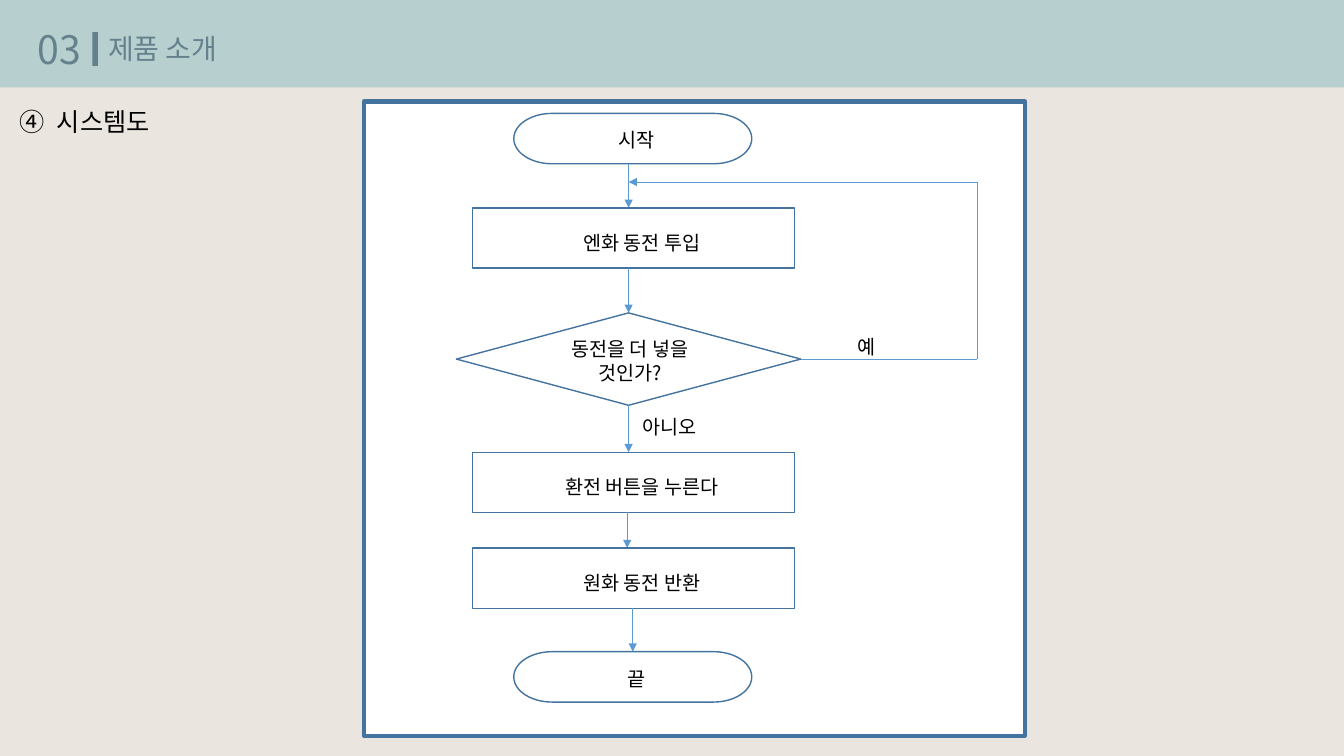
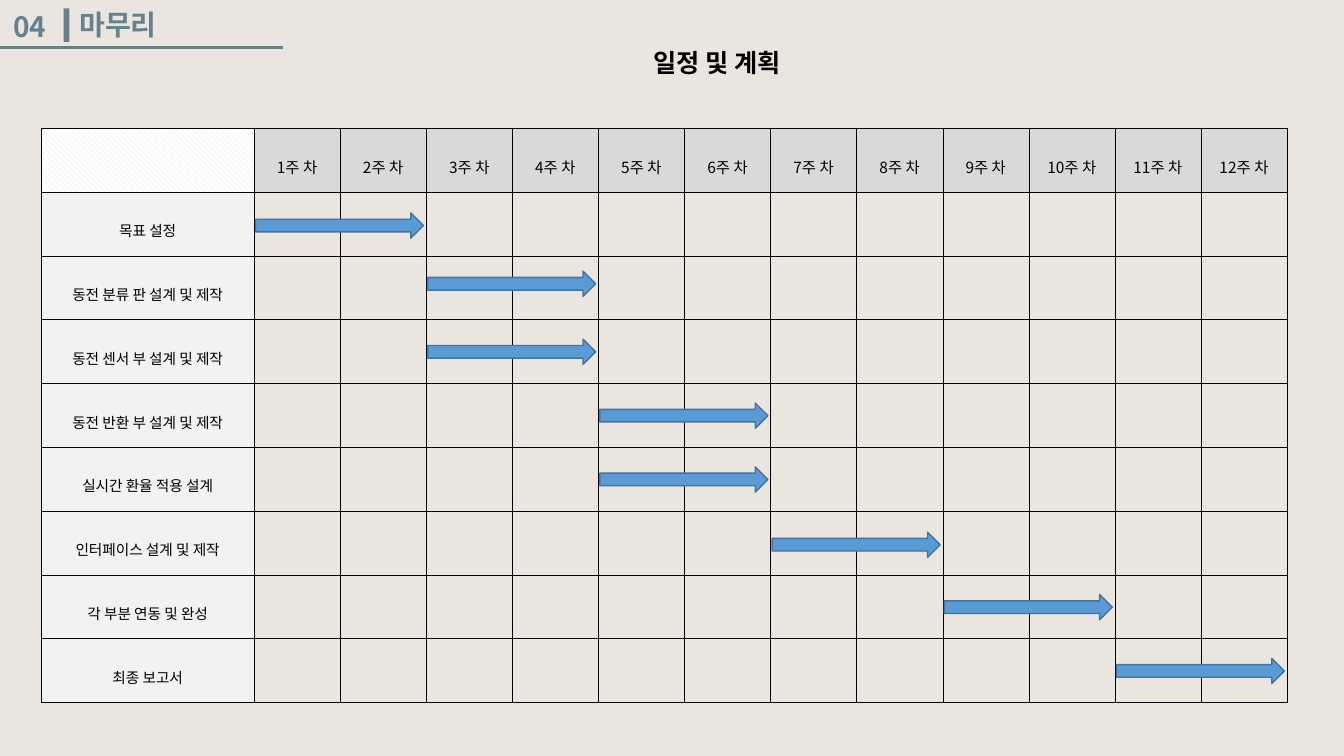
from lxml import etree
from pptx import Presentation
from pptx.dml.color import RGBColor
from pptx.enum import dml, shapes, text
from pptx.oxml import ns
from pptx.util import Pt

FONT = "Noto Sans CJK KR"
INK, SLATE, WHITE = "000000", "64818D", "FFFFFF"
PAPER, BAND = "EAE6DF", "B7CFCE"
BLUE, EDGE = "5B9BD5", "43739E"
HEADER, LABEL = "D9D9D9", "F2F2F2"
MSO = shapes.MSO_SHAPE
CENTER, LEFT = text.PP_ALIGN.CENTER, text.PP_ALIGN.LEFT
MIDDLE, TOP = text.MSO_ANCHOR.MIDDLE, text.MSO_ANCHOR.TOP

STEPS = [
    (MSO.FLOWCHART_TERMINATOR, ["시작"], 192, 8.5, 170, 36, 189),
    (MSO.FLOWCHART_PROCESS, ["엔화 동전 투입"], 192.5, 76, 230, 43, 189),
    (MSO.FLOWCHART_DECISION, ["동전을 더 넣을", "것인가?"], 189, 151, 246, 66, 189),
    (MSO.FLOWCHART_PROCESS, ["환전 버튼을 누른다"], 192.5, 250.5, 230, 43, 188),
    (MSO.FLOWCHART_PROCESS, ["원화 동전 반환"], 192.5, 319, 230, 43, 192),
    (MSO.FLOWCHART_TERMINATOR, ["끝"], 192, 393, 170, 36, None),
]
NUDGE = {
    MSO.FLOWCHART_TERMINATOR: (3, 1),
    MSO.FLOWCHART_PROCESS: (6, 3),
    MSO.FLOWCHART_DECISION: (1, 1),
}
LOOP = [(312, 184), (438, 184), (438, 57.5), (189, 57.5)]
TASKS = [
    ("목표 설정", 1, 15),
    ("동전 분류 판 설계 및 제작", 3, 11),
    ("동전 센서 부 설계 및 제작", 3, 14),
    ("동전 반환 부 설계 및 제작", 5, 14),
    ("실시간 환율 적용 설계", 5, 14),
    ("인터페이스 설계 및 제작", 7, 15),
    ("각 부분 연동 및 완성", 9, 14),
    ("최종 보고서", 11, 14),
]
WEEKS = 12


def rgb(color):
    """Turn a hex string into a colour."""
    return RGBColor.from_string(color)


def place(sp, x, y, w, h):
    """Move and size a shape in points."""
    sp.left, sp.top, sp.width, sp.height = Pt(x), Pt(y), Pt(w), Pt(h)


def write(tf, lines, size, color=INK, bold=False, align=LEFT, anchor=TOP):
    """Fill a text frame with one run per line."""
    tf.word_wrap = True
    tf.auto_size = text.MSO_AUTO_SIZE.NONE
    tf.vertical_anchor = anchor
    for i, line in enumerate(lines):
        p = tf.add_paragraph() if i else tf.paragraphs[0]
        p.alignment = align
        p.space_before = Pt(0)
        r = p.add_run()
        r.text = line
        r.font.size, r.font.bold, r.font.name = Pt(size), bold, FONT
        r.font.color.rgb = rgb(color)
        etree.SubElement(r._r.get_or_add_rPr(), ns.qn("a:ea"), typeface=FONT)


def label(s, x, y, w, h, line, size, **style):
    """Add a text box."""
    sp = s.shapes.add_textbox(Pt(x), Pt(y), Pt(w), Pt(h))
    write(sp.text_frame, [line], size, **style)


def shape(s, kind, x, y, w, h, fill=None, line=None, weight=1):
    """Add a flat preset shape."""
    sp = s.shapes.add_shape(kind, Pt(x), Pt(y), Pt(w), Pt(h))
    sp.shadow.inherit = False
    if fill:
        sp.fill.solid()
        sp.fill.fore_color.rgb = rgb(fill)
    else:
        sp.fill.background()
    if line:
        sp.line.color.rgb = rgb(line)
        sp.line.width = Pt(weight)
    else:
        sp.line.fill.background()
    return sp


def connect(s, x1, y1, x2, y2, color=BLUE, weight=0.5, arrow=False):
    """Add a straight connector, with an arrowhead if wanted."""
    c = s.shapes.add_connector(
        shapes.MSO_CONNECTOR.STRAIGHT, Pt(x1), Pt(y1), Pt(x2), Pt(y2))
    c.line.color.rgb = rgb(color)
    c.line.width = Pt(weight)
    if arrow:
        etree.SubElement(c.get_or_add_ln(), ns.qn("a:tailEnd"), type="triangle")
    etree.SubElement(c.element.spPr, ns.qn("a:effectLst"))


def heading(s, x, y, number, title, size, gap, bold=False):
    """Set the number, bar and title, with the bar's corner at x, y."""
    middle, h = y + 12, size * 1.45
    style = dict(color=SLATE, bold=bold)
    label(s, x - gap, middle - h / 2, 53, h, number, size, **style)
    shape(s, MSO.RECTANGLE, x, y, 4, 24, SLATE)
    place(s.shapes.title, x + 4, middle - 16, 250, 32)
    write(s.shapes.title.text_frame, [title], 20, **style)


def numbered(sp, x, y, w, h, line, start):
    """Format the body placeholder as a circled-number list."""
    place(sp, x, y, w, h)
    p = sp.text_frame.paragraphs[0]
    pPr = p._p.get_or_add_pPr()
    pPr.set("marL", str(Pt(27)))
    pPr.set("indent", str(Pt(-27)))
    etree.SubElement(pPr, ns.qn("a:buAutoNum"), type="circleNumDbPlain", startAt=str(start))
    write(sp.text_frame, [line], 18)


def flowchart(s, x, y, w, h):
    """Draw the flowchart in a framed panel."""
    shape(s, MSO.FLOWCHART_PROCESS, x, y, w, h, WHITE, EDGE, 3)
    for i, (kind, lines, cx, top, sw, sh, link) in enumerate(STEPS):
        sp = shape(s, kind, x + cx - sw / 2, y + top, sw, sh, line=EDGE)
        tf = sp.text_frame
        right, down = NUDGE[kind]
        tf.margin_left, tf.margin_top = Pt(2 * right), Pt(2 * down)
        tf.margin_right = tf.margin_bottom = 0
        write(tf, lines, 14, align=CENTER, anchor=MIDDLE)
        if link:
            connect(s, x + link, y + top + sh, x + link, y + STEPS[i + 1][3], arrow=True)
    for (x1, y1), (x2, y2) in zip(LOOP, LOOP[1:]):
        connect(s, x + x1, y + y1, x + x2, y + y2, arrow=(x2, y2) == LOOP[-1])
    label(s, x + 345.5, y + 163.5, 68, 24, "예", 14)
    label(s, x + 191.5, y + 220, 115, 24, "아니오", 14)


def cell_style(cell, fill=None):
    """Give a cell its fill, margins and thin black borders."""
    if fill:
        cell.fill.solid()
        cell.fill.fore_color.rgb = rgb(fill)
    else:
        cell.fill.background()
    cell.margin_left = cell.margin_right = Pt(5)
    cell.margin_top = cell.margin_bottom = Pt(1.5)
    cell.vertical_anchor = MIDDLE
    tcPr = cell._tc.get_or_add_tcPr()
    for i, side in enumerate(("lnL", "lnR", "lnT", "lnB")):
        ln = etree.Element(ns.qn("a:" + side), w=str(Pt(0.28)))
        solid = etree.SubElement(ln, ns.qn("a:solidFill"))
        etree.SubElement(solid, ns.qn("a:srgbClr"), val=INK)
        tcPr.insert(i, ln)


def cell_text(cell, line, size):
    """Write centred text in a cell."""
    p = cell.text_frame.paragraphs[0]
    p.alignment, p.line_spacing = CENTER, 1.6
    r = p.add_run()
    r.text = line
    r.font.size, r.font.name = Pt(size), FONT
    r.font.color.rgb = rgb(INK)
    etree.SubElement(r._r.get_or_add_rPr(), ns.qn("a:ea"), typeface=FONT)


def schedule(s, x, y, w, h):
    """Draw the week table and the task arrows over it."""
    week_w, row_h = 61.5, h / (len(TASKS) + 1)
    first_w = w - WEEKS * week_w
    tbl = s.shapes.add_table(
        len(TASKS) + 1, WEEKS + 1, Pt(x), Pt(y), Pt(w), Pt(h)).table
    tbl.first_row = tbl.horz_banding = False
    for i, col in enumerate(tbl.columns):
        col.width = Pt(week_w if i else first_w)
    for i, row in enumerate(tbl.rows):
        row.height = Pt(row_h)
        for j, cell in enumerate(row.cells):
            cell_style(cell, HEADER if i == 0 else LABEL if j == 0 else None)
    corner = tbl.cell(0, 0).fill
    corner.patterned()
    corner.pattern = dml.MSO_PATTERN.WIDE_DOWNWARD_DIAGONAL
    corner.fore_color.rgb, corner.back_color.rgb = rgb(PAPER), rgb(WHITE)
    for week in range(1, WEEKS + 1):
        cell_text(tbl.cell(0, week), f"{week}주 차", 11)
    for i, (name, week, drop) in enumerate(TASKS, 1):
        cell_text(tbl.cell(i, 0), name, 10.5)
        shape(s, MSO.RIGHT_ARROW, x + first_w + (week - 1) * week_w + 1,
              y + i * row_h + drop, 2 * week_w - 3, 18, BLUE, EDGE)


def system_slide(prs):
    """Build the system diagram slide."""
    s = prs.slides.add_slide(prs.slide_layouts[1])
    band = shape(s, MSO.RECTANGLE, 0, 0, 960, 62.5, BAND)
    s.shapes.title.element.addprevious(band.element)
    heading(s, 66, 23, "03", "제품 소개", 28, 46)
    numbered(s.placeholders[1], 6.5, 72.5, 160, 29, "시스템도", 4)
    flowchart(s, 260, 72.5, 472, 453)


def plan_slide(prs):
    """Build the schedule slide."""
    s = prs.slides.add_slide(prs.slide_layouts[5])
    heading(s, 45.5, 6, "04", "마무리", 20, 43, bold=True)
    connect(s, 0, 34, 202, 34, SLATE, 2.25)
    label(s, 459.5, 30, 123, 29, "일정 및 계획", 18, bold=True)
    schedule(s, 29.5, 91.5, 890, 410.4)


def main():
    """Build and save the presentation."""
    prs = Presentation()
    prs.slide_width, prs.slide_height = Pt(960), Pt(540)
    fill = prs.slide_master.background.fill
    fill.solid()
    fill.fore_color.rgb = rgb(PAPER)
    system_slide(prs)
    plan_slide(prs)
    prs.save("out.pptx")


if __name__ == "__main__":
    main()
